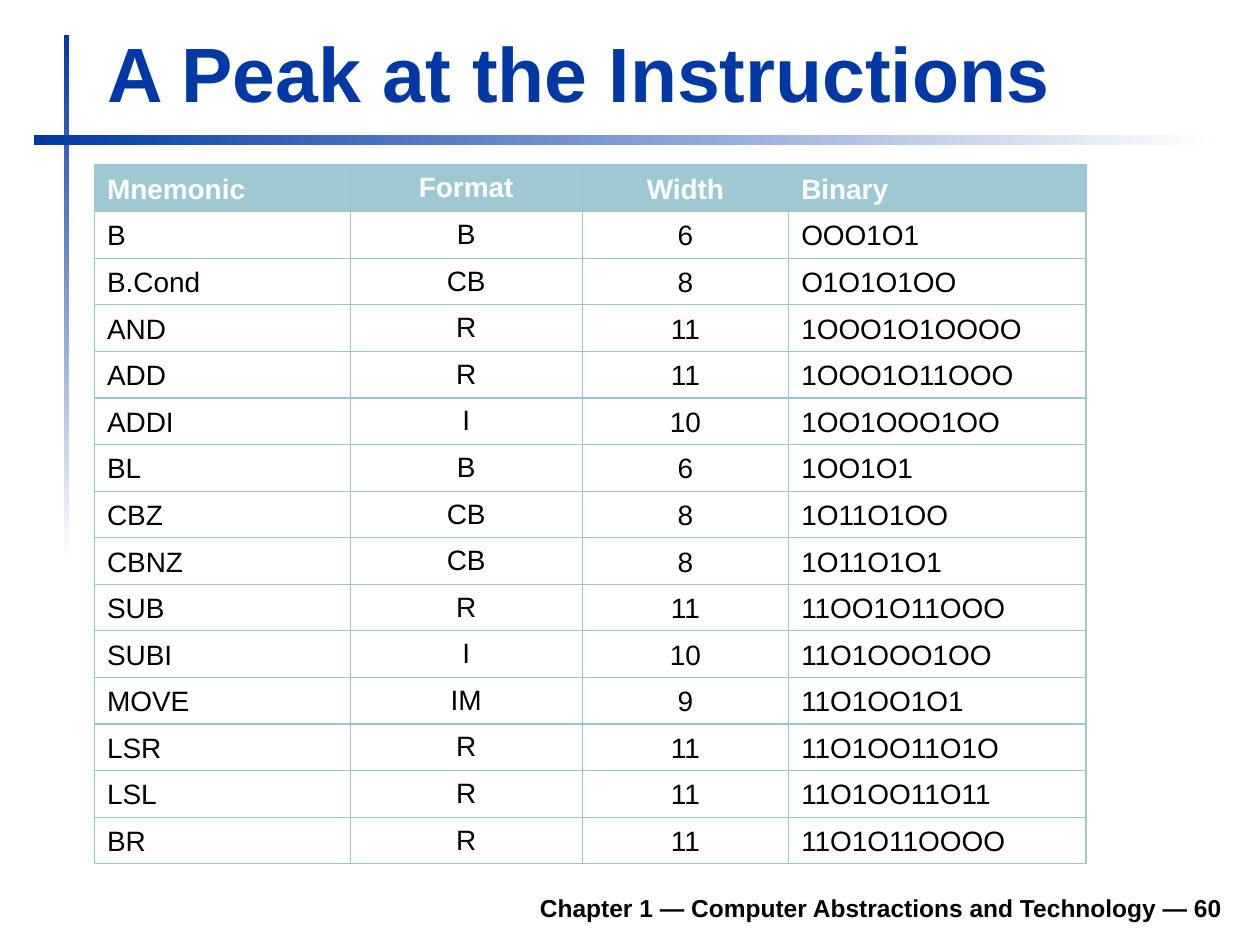
from lxml.etree import SubElement
from pptx import Presentation
from pptx.dml.color import RGBColor
from pptx.enum.shapes import MSO_SHAPE
from pptx.enum.text import MSO_ANCHOR, MSO_AUTO_SIZE, PP_ALIGN
from pptx.oxml.ns import qn
from pptx.util import Inches, Pt

BLUE, WHITE, BLACK = "0039A6", "FFFFFF", "000000"
HEADER_FILL, BORDER = "9FC9D2", "9AC6D0"
COLUMN_WIDTHS = [2.03, 1.84, 1.64, 2.36]
COLUMN_STYLES = [
    (PP_ALIGN.LEFT, MSO_ANCHOR.BOTTOM),
    (PP_ALIGN.CENTER, MSO_ANCHOR.MIDDLE),
    (PP_ALIGN.CENTER, MSO_ANCHOR.BOTTOM),
    (PP_ALIGN.LEFT, MSO_ANCHOR.BOTTOM),
]
INSTRUCTIONS = [
    ("Mnemonic", "Format", "Width", "Binary"),
    ("B", "B", "6", "OOO1O1"),
    ("B.Cond", "CB", "8", "O1O1O1OO"),
    ("AND", "R", "11", "1OOO1O1OOOO"),
    ("ADD", "R", "11", "1OOO1O11OOO"),
    ("ADDI", "I", "10", "1OO1OOO1OO"),
    ("BL", "B", "6", "1OO1O1"),
    ("CBZ", "CB", "8", "1O11O1OO"),
    ("CBNZ", "CB", "8", "1O11O1O1"),
    ("SUB", "R", "11", "11OO1O11OOO"),
    ("SUBI", "I", "10", "11O1OOO1OO"),
    ("MOVE", "IM", "9", "11O1OO1O1"),
    ("LSR", "R", "11", "11O1OO11O1O"),
    ("LSL", "R", "11", "11O1OO11O11"),
    ("BR", "R", "11", "11O1O11OOOO"),
]


def color(hex_code):
    """Turn a hex string into a colour."""
    return RGBColor.from_string(hex_code)


def write_text(frame, text, align, hex_code, size, bold=True):
    """Write one formatted paragraph into a text frame."""
    para = frame.paragraphs[0]
    para.alignment = align
    span = para.add_run()
    span.text = text
    styles = {"name": "Arial", "size": Pt(size), "bold": bold}
    for name, value in styles.items():
        setattr(span.font, name, value)
    span.font.color.rgb = color(hex_code)


def add_fading_bar(page, left, top, width, height, angle):
    """Draw a bar that fades from blue to white."""
    bar = page.shapes.add_shape(MSO_SHAPE.RECTANGLE, left, top, width, height)
    bar.shadow.inherit = False
    bar.line.fill.background()
    bar.fill.gradient()
    bar.fill.gradient_angle = angle
    for stop, hex_code in zip(bar.fill.gradient_stops, (BLUE, WHITE)):
        stop.color.rgb = color(hex_code)


def add_title(page, left, top, width, height):
    """Place and format the slide title."""
    title = page.shapes.title
    box = {"left": left, "top": top, "width": width, "height": height}
    for name, value in box.items():
        setattr(title, name, value)
    frame = title.text_frame
    frame.word_wrap = True
    frame.auto_size = MSO_AUTO_SIZE.SHAPE_TO_FIT_TEXT
    frame.vertical_anchor = MSO_ANCHOR.BOTTOM
    write_text(frame, "A Peak at the Instructions", PP_ALIGN.LEFT, BLUE, 44)


def add_footer(page, left, top, width, height):
    """Place the chapter line at the foot of the slide."""
    frame = page.shapes.add_textbox(left, top, width, height).text_frame
    frame.word_wrap = True
    frame.vertical_anchor = MSO_ANCHOR.BOTTOM
    text = "Chapter 1 — Computer Abstractions and Technology — 60"
    write_text(frame, text, PP_ALIGN.RIGHT, BLACK, 14)


def add_borders(cell):
    """Draw a thin line on every side of a cell."""
    properties = cell._tc.get_or_add_tcPr()
    for side in ("lnL", "lnR", "lnT", "lnB"):
        line = SubElement(properties, qn(f"a:{side}"), w=str(Pt(0.75)))
        fill = SubElement(line, qn("a:solidFill"))
        SubElement(fill, qn("a:srgbClr"), val=BORDER)


def add_instruction_table(page, left, top, width, height):
    """Build the table of instructions with a filled header row."""
    table = page.shapes.add_table(
        len(INSTRUCTIONS), len(COLUMN_WIDTHS), left, top, width, height
    ).table
    table.horz_banding = False
    for column, share in zip(table.columns, COLUMN_WIDTHS):
        column.width = int(width * share / sum(COLUMN_WIDTHS))
    for row_index, values in enumerate(INSTRUCTIONS):
        is_header = row_index == 0
        for column_index, text in enumerate(values):
            cell = table.cell(row_index, column_index)
            align, cell.vertical_anchor = COLUMN_STYLES[column_index]
            add_borders(cell)
            if is_header:
                cell.fill.solid()
                cell.fill.fore_color.rgb = color(HEADER_FILL)
            else:
                cell.fill.background()
            text_color = WHITE if is_header else BLACK
            write_text(cell.text_frame, text, align, text_color, 16, is_header)


def main():
    """Build the slide and save the deck."""
    deck = Presentation()
    deck.slide_width, deck.slide_height = Inches(10), Inches(7.5)
    page = deck.slides.add_slide(deck.slide_layouts[5])
    add_fading_bar(page, Inches(0.51), Inches(0.28), Inches(0.04), Inches(4.17), 270)
    add_fading_bar(page, Inches(0.27), Inches(1.07), Inches(9.37), Inches(0.08), 0)
    add_title(page, Inches(0.75), Inches(0.16), Inches(9.03), Inches(0.83))
    add_footer(page, Inches(1.85), Inches(6.98), Inches(7.95), Inches(0.39))
    add_instruction_table(page, Inches(0.75), Inches(1.31), Inches(7.87), Inches(5.55))
    deck.save("out.pptx")


if __name__ == "__main__":
    main()
